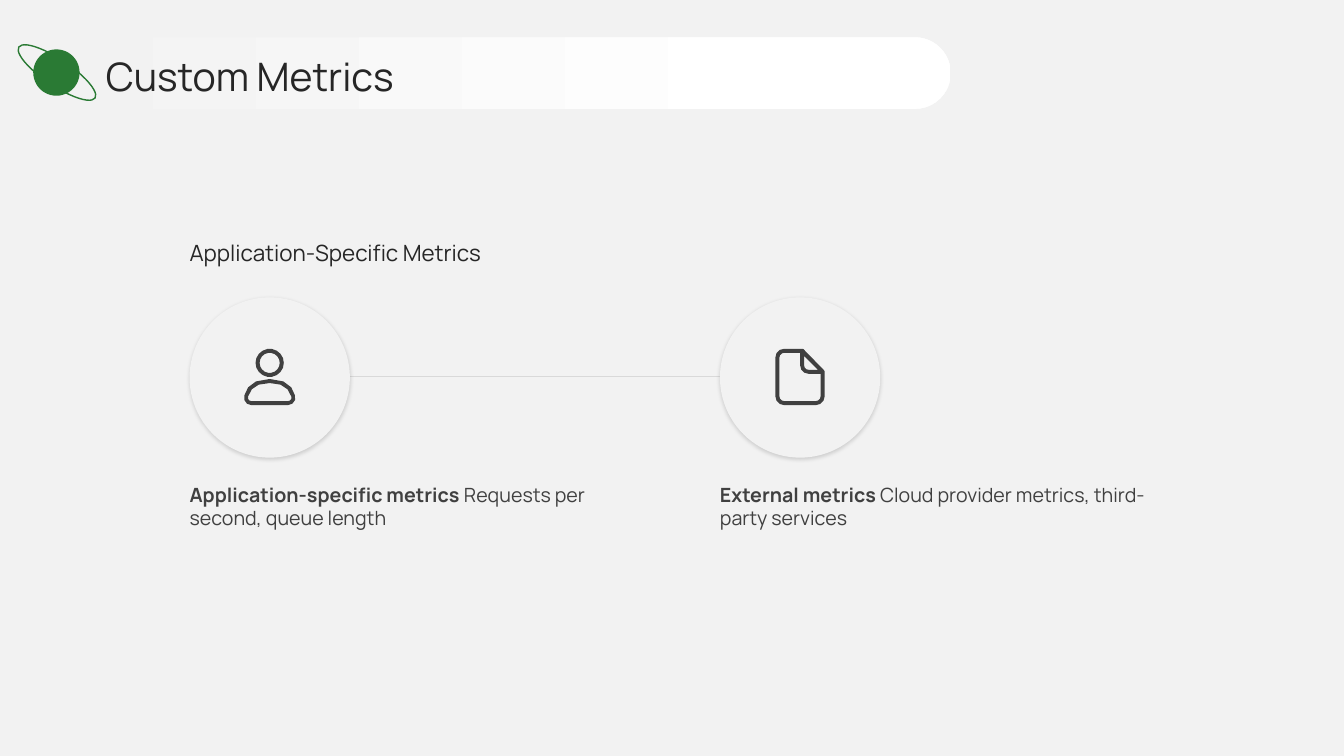
import math
from dataclasses import dataclass
from typing import Optional

from lxml import etree
from pptx import Presentation
from pptx import util as u
from pptx.dml.color import RGBColor
from pptx.enum import shapes, text
from pptx.oxml import ns

PAPER, WHITE, RULE = "F2F2F2", "FFFFFF", "D9D9D9"
INK, GREY, GREEN = "262626", "404040", "2A7A34"
FONT = "Manrope"
WIDTH, HEIGHT = 13.33, 7.5
CIRCLE, CIRCLE_TOP = 1.59, 2.95
MIDDLE = 3.74


@dataclass
class Contour:
    """Start point, then lines (2 numbers) or curves (6), in 1/1000 inch."""
    start: tuple
    segments: list


@dataclass
class Metric:
    left: float
    name: str
    detail: str
    icon: list


@dataclass
class Caption:
    holder: int
    box: tuple
    runs: list
    size: float
    color: str
    anchor: text.MSO_ANCHOR = text.MSO_ANCHOR.TOP
    insets: tuple = (0, 0, 0, 0)


def rgb(color: str) -> RGBColor:
    return RGBColor.from_string(color)


def inches(values) -> list:
    return [u.Inches(v) for v in values]


# Icon outlines, measured from the middle of the circle
def ring(cy: float, radius: float) -> Contour:
    angles = [math.radians(a) for a in range(0, 360, 20)]
    pts = [(radius * math.cos(a), cy + radius * math.sin(a)) for a in angles]
    return Contour(pts[0], pts[1:])


def flatten(contour: Contour, steps: int = 3) -> list:
    points = [contour.start]
    for seg in contour.segments:
        if len(seg) == 2:
            points.append(seg)
            continue
        curve = [points[-1], seg[0:2], seg[2:4], seg[4:6]]
        for i in range(1, steps + 1):
            t = i / steps
            weights = [math.comb(3, k) * t**k * (1 - t)**(3 - k) for k in range(4)]
            points.append(tuple(sum(w * c[axis] for w, c in zip(weights, curve))
                                for axis in (0, 1)))
    return points


PERSON = [
    ring(-140, 140), ring(-140, 100),
    Contour((0, 20), [(170, 20, 230, 100, 250, 180), (270, 230, 230, 280, 180, 280),
                      (-180, 280), (-230, 280, -270, 230, -250, 180),
                      (-230, 100, -170, 20, 0, 20)]),
    Contour((0, 60), [(130, 60, 190, 110, 215, 195), (220, 220, 205, 240, 180, 240),
                      (-180, 240), (-205, 240, -220, 220, -215, 195),
                      (-190, 110, -130, 60, 0, 60)]),
]
DOCUMENT = [
    Contour((25, -280), [(-155, -280), (-205, -280, -245, -240, -245, -190),
                         (-245, 190), (-245, 240, -205, 280, -155, 280), (155, 280),
                         (205, 280, 245, 240, 245, 190), (245, -55),
                         (235, -70), (35, -275)]),
    Contour((40, -120), [(40, -210), (180, -70), (90, -70),
                         (60, -70, 40, -90, 40, -120)]),
    Contour((205, 190), [(205, 220, 180, 240, 155, 240), (-155, 240),
                         (-180, 240, -205, 220, -205, 190), (-205, -190),
                         (-205, -220, -180, -240, -155, -240), (0, -240), (0, -120),
                         (0, -70, 40, -30, 90, -30), (205, -30)]),
]
METRICS = [
    Metric(1.88, "Application-specific metrics", " Requests per second, queue length", PERSON),
    Metric(7.14, "External metrics", " Cloud provider metrics, third- party services", DOCUMENT),
]


# Drawing
def paint(sp, fill: Optional[str] = None, line: Optional[str] = None):
    sp.shadow.inherit = False
    if fill:
        sp.fill.solid()
        sp.fill.fore_color.rgb = rgb(fill)
    else:
        sp.fill.background()
    if line:
        sp.line.color.rgb = rgb(line)
        sp.line.width = u.Pt(1)
    else:
        sp.line.fill.background()
    return sp


def add_ellipse(s, box: tuple, fill: Optional[str] = None, line: Optional[str] = None):
    return paint(s.shapes.add_shape(shapes.MSO_SHAPE.OVAL, *inches(box)), fill, line)


def add_soft_shadow(sp) -> None:
    effects = sp.element.spPr.find(ns.qn("a:effectLst"))
    shadow = etree.SubElement(effects, ns.qn("a:outerShdw"), blurRad=str(u.Pt(3)),
                              dist=str(u.Pt(1)), dir="5400000", rotWithShape="0")
    black = etree.SubElement(shadow, ns.qn("a:srgbClr"), val="000000")
    etree.SubElement(black, ns.qn("a:alpha"), val="15000")


def add_icon(s, icon: list, cx: float, cy: float) -> None:
    builder = None
    for contour in icon:
        first, *rest = flatten(contour)
        if builder is None:
            builder = s.shapes.build_freeform(*first, scale=float(u.Inches(0.001)))
        else:
            builder.move_to(*first)
        builder.add_line_segments(rest, close=True)
    paint(builder.convert_to_shape(*inches((cx, cy))), GREY)


def fill_caption(s, caption: Caption) -> None:
    sp = s.placeholders[caption.holder]
    sp.left, sp.top, sp.width, sp.height = inches(caption.box)
    s.shapes.element.append(sp.element)  # bring in front of the shapes
    tf = sp.text_frame
    sides = ("margin_left", "margin_top", "margin_right", "margin_bottom")
    frame = dict(zip(sides, inches(caption.insets)), word_wrap=True,
                 auto_size=text.MSO_AUTO_SIZE.NONE, vertical_anchor=caption.anchor)
    for key, value in frame.items():
        setattr(tf, key, value)
    p = tf.paragraphs[0]
    pPr = p._p.get_or_add_pPr()
    pPr.set("marL", "0")
    pPr.set("indent", "0")
    etree.SubElement(pPr, ns.qn("a:buNone"))
    layout = dict(alignment=text.PP_ALIGN.LEFT, space_before=u.Pt(0), line_spacing=1.0)
    for key, value in layout.items():
        setattr(p, key, value)
    for wording, bold in caption.runs:
        r = p.add_run()
        r.text = wording
        for key, value in dict(name=FONT, size=u.Pt(caption.size), bold=bold).items():
            setattr(r.font, key, value)
        r.font.color.rgb = rgb(caption.color)


def main() -> None:
    prs = Presentation()
    prs.slide_width, prs.slide_height = inches((WIDTH, HEIGHT))
    s = prs.slides.add_slide(prs.slide_layouts.get_by_name("Comparison"))

    # Grey sheet and the line joining the two metrics
    paint(s.shapes.add_shape(shapes.MSO_SHAPE.RECTANGLE, *inches((0, 0, WIDTH, HEIGHT))), PAPER)
    link = s.shapes.add_connector(shapes.MSO_CONNECTOR.STRAIGHT,
                                  *inches((2.46, MIDDLE, 8.73, MIDDLE)))
    link.line.color.rgb = rgb(RULE)
    link.line.width = u.Pt(0.75)
    etree.SubElement(link.element.spPr, ns.qn("a:effectLst"))

    # Circles, icons and their captions
    for holder, metric in enumerate(METRICS, start=2):
        add_soft_shadow(add_ellipse(s, (metric.left, CIRCLE_TOP, CIRCLE, CIRCLE), PAPER))
        add_icon(s, metric.icon, metric.left + CIRCLE / 2, MIDDLE)
        fill_caption(s, Caption(holder, (metric.left, 4.75, 4.61, 1.89),
                                [(metric.name, True), (metric.detail, False)], 14, GREY,
                                insets=(0, 0.04, 0.24, 0.04)))
    fill_caption(s, Caption(1, (1.88, 1.43, 9.89, 1.21),
                            [("Application-Specific Metrics", False)], 16, INK,
                            anchor=text.MSO_ANCHOR.BOTTOM))

    # Title bar with planet
    bar = paint(s.shapes.add_shape(shapes.MSO_SHAPE.ROUNDED_RECTANGLE,
                                   *inches((0.5, 0.37, 8.93, 0.71))))
    bar.adjustments[0] = 0.5
    bar.fill.gradient()
    bar.fill.gradient_angle = 0
    for stop, color, position in zip(bar.fill.gradient_stops, (PAPER, WHITE), (0, 0.8)):
        stop.color.rgb = rgb(color)
        stop.position = position
    fill_caption(s, Caption(0, (1.05, 0.5, 11.67, 0.51), [("Custom Metrics", False)],
                            28, INK, anchor=text.MSO_ANCHOR.MIDDLE))
    add_ellipse(s, (0.33, 0.49, 0.46, 0.46), GREEN)
    add_ellipse(s, (0.11, 0.59, 0.91, 0.26), line=GREEN).rotation = 33.8

    # The layout's fourth text area is not needed
    spare = s.placeholders[4].element
    spare.getparent().remove(spare)
    prs.save("out.pptx")


if __name__ == "__main__":
    main()
